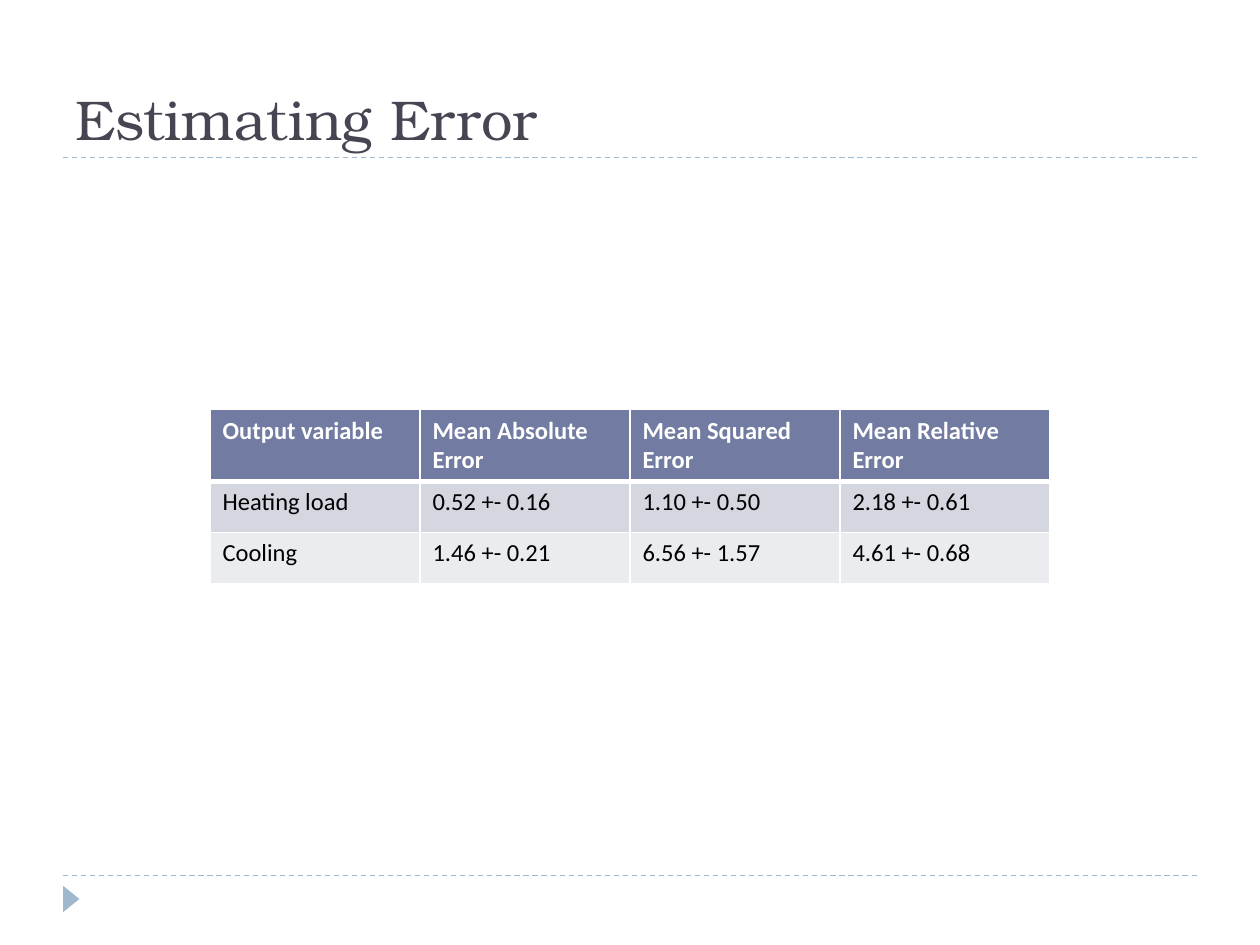
from lxml.etree import SubElement
from pptx import Presentation
from pptx.dml.color import RGBColor
from pptx.enum.dml import MSO_LINE_DASH_STYLE as Dash
from pptx.enum.shapes import MSO_CONNECTOR as Connector, MSO_SHAPE as Shape
from pptx.enum.text import MSO_ANCHOR as Anchor
from pptx.oxml.ns import qn
from pptx.util import Inches, Pt

WIDTH, HEIGHT = 10, 7.5
MARGIN = 0.05 * WIDTH
ACCENT, HEADER, INK, WHITE = "9FB8CD", "727CA3", "464653", "FFFFFF"
BANDS = ["D5D7E0", "EBECF0"]
ROWS = [
    ["Output variable", "Mean Absolute Error", "Mean Squared Error", "Mean Relative Error"],
    ["Heating load", "0.52 +- 0.16", "1.10 +- 0.50", "2.18 +- 0.61"],
    ["Cooling", "1.46 +- 0.21", "6.56 +- 1.57", "4.61 +- 0.68"],
]


def color(value):
    return RGBColor.from_string(value)


def inches(*lengths):
    return [Inches(length) for length in lengths]


def write(frame, text, size=14, font="Calibri", fill="000000", bold=False):
    frame.word_wrap = True
    run = frame.paragraphs[0].add_run()
    run.text = text
    run.font.size, run.font.name, run.font.bold = Pt(size), font, bold
    run.font.color.rgb = color(fill)


def add_rule(slide, left, top, width):
    line = slide.shapes.add_connector(
        Connector.STRAIGHT, *inches(left, top, left + width, top))
    line.line.color.rgb = color(ACCENT)
    line.line.width = Pt(0.75)
    line.line.dash_style = Dash.DASH
    SubElement(line._element.spPr, qn("a:effectLst"))


def add_title(slide, left, top, width, height):
    box = slide.shapes.add_textbox(*inches(left, top, width, height))
    box.text_frame.vertical_anchor = Anchor.BOTTOM
    write(box.text_frame, "Estimating Error", size=32, font="TeX Gyre Bonum", fill=INK)
    add_rule(slide, left, top + height, width)


def add_footer(slide, left, top, width):
    add_rule(slide, left, top, width)
    # Marker pointing right
    marker = slide.shapes.add_shape(
        Shape.ISOSCELES_TRIANGLE, *inches(left - 0.04, top + 0.12, 0.21, 0.13))
    marker.rotation = 90
    marker.shadow.inherit = False
    marker.fill.solid()
    marker.fill.fore_color.rgb = color(ACCENT)
    marker.line.fill.background()


def set_borders(cell, bottom):
    properties = cell._tc.get_or_add_tcPr()
    widths = {"lnL": 1, "lnR": 1, "lnT": 1, "lnB": bottom}
    for index, (side, width) in enumerate(widths.items()):
        border = SubElement(properties, qn(f"a:{side}"), w=str(Pt(width)))
        fill = SubElement(border, qn("a:solidFill"))
        SubElement(fill, qn("a:srgbClr"), val=WHITE)
        properties.insert(index, border)  # borders come before the fill


def add_error_table(slide, left, top, width, height, header_height=0.57):
    table = slide.shapes.add_table(
        len(ROWS), len(ROWS[0]), *inches(left, top, width, height)).table
    body_height = (height - header_height) / (len(ROWS) - 1)
    for row_index, texts in enumerate(ROWS):
        is_header = row_index == 0
        table.rows[row_index].height = Inches(header_height if is_header else body_height)
        for column_index, text in enumerate(texts):
            cell = table.cell(row_index, column_index)
            cell.fill.solid()
            cell.fill.fore_color.rgb = color(HEADER if is_header else BANDS[row_index - 1])
            set_borders(cell, bottom=3 if is_header else 1)
            write(cell.text_frame, text, bold=is_header,
                  fill=WHITE if is_header else "000000")


def main():
    presentation = Presentation()
    presentation.slide_width, presentation.slide_height = inches(WIDTH, HEIGHT)
    slide = presentation.slides.add_slide(presentation.slide_layouts[6])
    content_width = WIDTH - 2 * MARGIN

    add_footer(slide, MARGIN, 6.95, content_width)
    add_title(slide, MARGIN, 0.17, content_width, 1.08)
    # The table takes the middle four of six columns
    add_error_table(slide, WIDTH / 6, 3.25, WIDTH * 4 / 6, 1.38)
    presentation.save("out.pptx")


if __name__ == "__main__":
    main()
